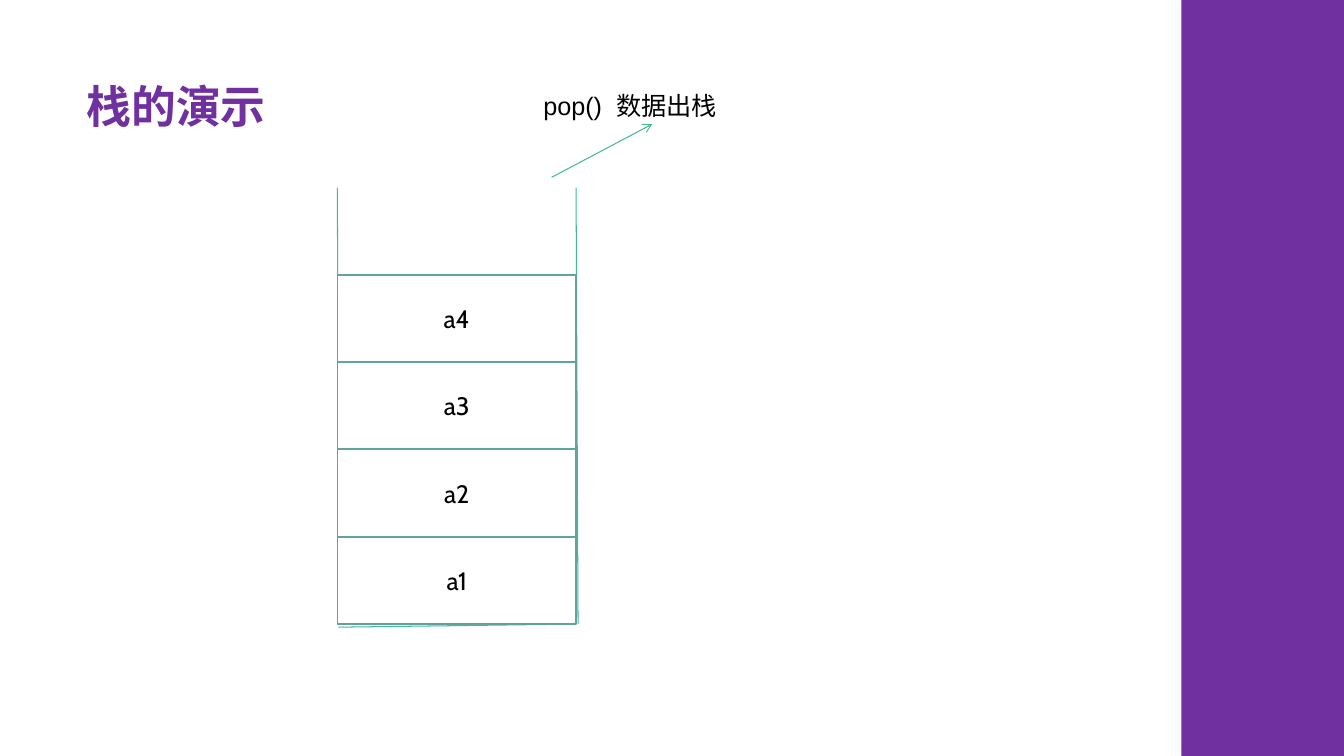
from collections import namedtuple

from lxml import etree
from pptx import Presentation
from pptx.dml.color import RGBColor
from pptx.enum.shapes import MSO_CONNECTOR, MSO_SHAPE
from pptx.enum.text import MSO_ANCHOR, MSO_AUTO_SIZE, PP_ALIGN
from pptx.oxml.ns import qn
from pptx.util import Pt

STRAIGHT = MSO_CONNECTOR.STRAIGHT
RECTANGLE = MSO_SHAPE.RECTANGLE
MIDDLE = MSO_ANCHOR.MIDDLE
GROW = MSO_AUTO_SIZE.SHAPE_TO_FIT_TEXT
CENTER = PP_ALIGN.CENTER

COLORS = {
    "purple": "7030A0",
    "green": "42BA97",
    "teal": "62A39F",
    "white": "FFFFFF",
    "black": "000000",
    "shade": "D5D7D5",
}
TITLE_FONT = {"name": "Arial", "size": Pt(32), "bold": True}
LABEL_FONT = {"name": "Arial", "size": Pt(18)}
ITEM_FONT = {"name": "Cabin", "size": Pt(18)}

Box = namedtuple("Box", "left top width height")


def color(name):
    return RGBColor.from_string(COLORS[name])


def write(frame, words, font, ink):
    run = frame.paragraphs[0].add_run()
    run.text = words
    for attribute, value in font.items():
        setattr(run.font, attribute, value)
    run.font.color.rgb = color(ink)


def add_label(slide, box, words, font, ink, wrap):
    label = slide.shapes.add_textbox(*map(Pt, box))
    label.text_frame.word_wrap = wrap
    label.text_frame.auto_size = GROW
    write(label.text_frame, words, font, ink)


def add_block(slide, box, fill):
    block = slide.shapes.add_shape(RECTANGLE, *map(Pt, box))
    block.shadow.inherit = False
    block.fill.solid()
    block.fill.fore_color.rgb = color(fill)
    block.line.fill.background()
    return block


def add_line(slide, start, end):
    line = slide.shapes.add_connector(STRAIGHT, *map(Pt, start + end))
    line.line.color.rgb = color("green")
    line.line.width = Pt(0.75)
    etree.SubElement(line._element.spPr, qn("a:effectLst"))
    return line


def add_side_band(slide, box):
    band = add_block(slide, box, "purple")
    effects = band._element.spPr.find(qn("a:effectLst"))
    shadow = etree.SubElement(effects, qn("a:outerShdw"), blurRad=str(Pt(10)), dist="0", dir="0")
    shade = etree.SubElement(shadow, qn("a:srgbClr"), val=COLORS["shade"])
    etree.SubElement(shade, qn("a:alpha"), val="40000")


def add_pop(slide, box):
    arrow = add_line(
        slide,
        (box.left + 13, box.top + 65.5),
        (box.left + 85, box.top + 27.4),
    )
    etree.SubElement(arrow.line._get_or_add_ln(), qn("a:tailEnd"), type="arrow")
    add_label(slide, box, "pop()  数据出栈", LABEL_FONT, "black", True)


def add_stack(slide, box, items, item_height):
    right, bottom = box.left + box.width, box.top + box.height
    add_line(slide, (box.left + 0.7, bottom + 2.2), (right, bottom))
    for wall, lean in ((box.left, 1), (right, 1.4)):
        add_line(slide, (wall + lean, bottom), (wall, box.top))
    for level, item in enumerate(items, start=1):
        top = bottom - level * item_height
        cell = add_block(slide, Box(box.left, top, box.width, item_height), "white")
        cell.line.color.rgb = color("teal")
        cell.line.width = Pt(1.25)
        cell.text_frame.vertical_anchor = MIDDLE
        cell.text_frame.paragraphs[0].alignment = CENTER
        write(cell.text_frame, item, ITEM_FONT, "black")


def build_stack_slide(deck):
    slide = deck.slides.add_slide(deck.slide_layouts[6])
    add_label(slide, Box(54.7, 52.6, 144, 46), "栈的演示", TITLE_FONT, "purple", False)
    add_side_band(slide, Box(843.8, 0, 116.2, 540))
    add_pop(slide, Box(381, 61.2, 154, 29))
    add_stack(slide, Box(241, 134, 170.5, 311.8), ("a1", "a2", "a3", "a4"), 62.4)


def main():
    deck = Presentation()
    deck.slide_width, deck.slide_height = Pt(960), Pt(540)
    build_stack_slide(deck)
    deck.save("out.pptx")


if __name__ == "__main__":
    main()
